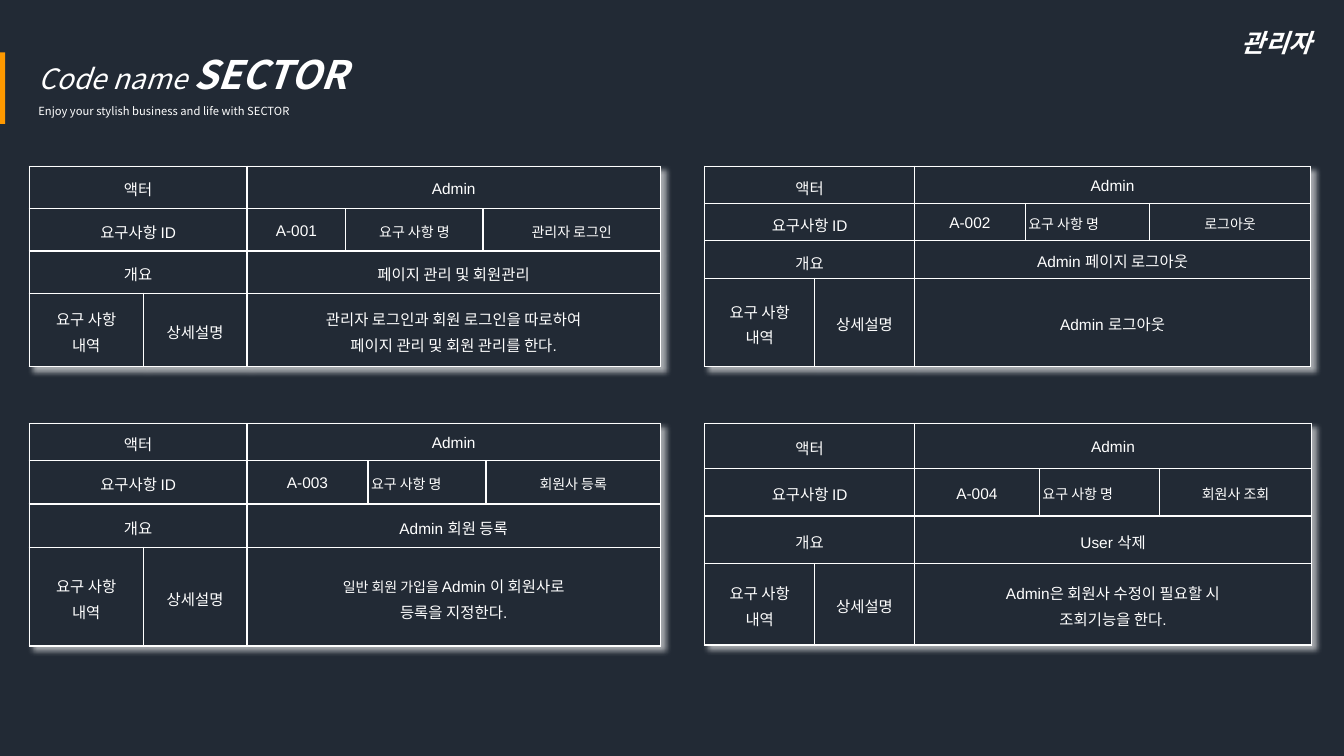
import dataclasses
import pptx
import pptx.util
import pptx.dml.color
import pptx.enum.shapes
import pptx.enum.text
from lxml import etree
from pptx.oxml.ns import qn

Inches, Pt = pptx.util.Inches, pptx.util.Pt
ALIGN = pptx.enum.text.PP_ALIGN
FIT = pptx.enum.text.MSO_AUTO_SIZE.SHAPE_TO_FIT_TEXT
ANCHOR = pptx.enum.text.MSO_ANCHOR
NAVY, WHITE, ORANGE = "222A35", "FFFFFF", "FF9900"
SANS, BODY = "Noto Sans CJK KR", "Arial"


@dataclasses.dataclass
class Card:
    """One requirement table; a bar in the detail ends its smaller text."""
    left: float
    top: float
    cols: list[float]
    rows: list[float]
    code: str
    name: str
    brief: str
    detail: str
    roomy: bool = False
    centred: bool = False


LEFT, RIGHT = 0.29, 6.99
UPPER, LOWER = 1.65, 4.2
CARDS = [
    Card(RIGHT, UPPER, [1.09, 0.99, 1.1, 1.23, 1.6], [0.37, 0.37, 0.37, 0.88],
         "A-002", "로그아웃", "Admin 페이지 로그아웃", "Admin 로그아웃", roomy=True),
    Card(LEFT, LOWER, [1.13, 1.03, 1.2, 1.17, 1.73], [0.37, 0.43, 0.43, 0.98],
         "A-003", "회원사 등록", "Admin 회원 등록",
         "일반 회원 가입을 |Admin 이 회원사로\n등록을 지정한다."),
    Card(RIGHT, LOWER, [1.09, 0.99, 1.24, 1.19, 1.51], [0.45, 0.47, 0.47, 0.81],
         "A-004", "회원사 조회", "User 삭제",
         "Admin은 회원사 수정이 필요할 시\n조회기능을 한다."),
    Card(LEFT, UPPER, [1.13, 1.03, 0.98, 1.36, 1.76], [0.42, 0.42, 0.42, 0.73],
         "A-001", "관리자 로그인", "페이지 관리 및 회원관리",
         "관리자 로그인과 회원 로그인을 따로하여\n페이지 관리 및 회원 관리를 한다.",
         roomy=True, centred=True),
]


def paint(fill, tint: str) -> None:
    fill.solid()
    fill.fore_color.rgb = pptx.dml.color.RGBColor.from_string(tint)


def style(run, size: float, face: str, bold: bool = False, slant: bool = False) -> None:
    font = run.font
    font.size, font.name, font.bold, font.italic = Pt(size), face, bold, slant
    paint(font.fill, WHITE)
    etree.SubElement(run._r.get_or_add_rPr(), qn("a:ea"), typeface=SANS)


def edge(cell) -> None:
    props = cell._tc.get_or_add_tcPr()
    for side in ("lnL", "lnR", "lnT", "lnB"):
        line = etree.SubElement(props, qn("a:" + side), w=str(Pt(1)))
        solid = etree.SubElement(line, qn("a:solidFill"))
        etree.SubElement(solid, qn("a:srgbClr"), val=WHITE)


def glow(grid) -> None:
    group = etree.Element(qn("a:effectLst"))
    shade = etree.SubElement(group, qn("a:outerShdw"), blurRad=str(Pt(4)),
                             dist=str(Pt(4)), dir="2700000", algn="tl", rotWithShape="0")
    tint = etree.SubElement(shade, qn("a:srgbClr"), val=WHITE)
    etree.SubElement(tint, qn("a:alpha"), val="60000")
    grid._tbl.tblPr.insert(0, group)


def write(cell, text: str, size: float = 11, roomy: bool = False,
          align=ALIGN.CENTER) -> None:
    inset = Inches(0.07 if roomy else 0.03)
    cell.margin_left = cell.margin_right = inset
    cell.margin_top = cell.margin_bottom = inset
    cell.text_frame.text = text
    paras = cell.text_frame.paragraphs
    for para in paras:
        para.alignment, para.line_spacing = align, 1.15
        small, bar, rest = para.text.partition("|")
        if bar:
            para.text = small
            para.add_run().text = rest
        for run in para.runs:
            style(run, size, BODY)
        if bar:
            para.runs[0].font.size = Pt(10)
    if roomy:
        paras[0].space_before = paras[-1].space_after = Pt(12)


def draw(slide, card: Card) -> None:
    frame = slide.shapes.add_table(
        len(card.rows), len(card.cols), Inches(card.left), Inches(card.top),
        Inches(sum(card.cols)), Inches(sum(card.rows)))
    grid = frame.table
    grid.first_row = grid.horz_banding = False
    for col, width in zip(grid.columns, card.cols):
        col.width = Inches(width)
    for row, height in zip(grid.rows, card.rows):
        row.height = Inches(height)
    for cell in grid.iter_cells():
        edge(cell)
        paint(cell.fill, NAVY)
        cell.vertical_anchor = ANCHOR.MIDDLE
    # Labels span two columns, values three
    for row in range(3):
        grid.cell(row, 0).merge(grid.cell(row, 1))
    for row in (0, 2, 3):
        grid.cell(row, 2).merge(grid.cell(row, 4))
    for row, label in enumerate(["액터", "요구사항 ID", "개요", "요구 사항\n내역"]):
        write(grid.cell(row, 0), label, roomy=card.roomy)
    write(grid.cell(3, 1), "상세설명", roomy=card.roomy)
    for row, text in enumerate(["Admin", card.code, card.brief, card.detail]):
        write(grid.cell(row, 2), text)
    write(grid.cell(1, 3), "요구 사항 명", 10,
          align=ALIGN.CENTER if card.centred else ALIGN.LEFT)
    write(grid.cell(1, 4), card.name, 10)
    glow(grid)


deck = pptx.Presentation()
deck.slide_width, deck.slide_height = Inches(13.33), Inches(7.5)
slide = deck.slides.add_slide(deck.slide_layouts[5])
paint(slide.background.fill, NAVY)

# Accent bar
bar = slide.shapes.add_shape(pptx.enum.shapes.MSO_SHAPE.RECTANGLE,
                             0, Inches(0.52), Inches(0.05), Inches(0.71))
bar.shadow.inherit = False
paint(bar.fill, ORANGE)
bar.line.fill.background()

# Title and tagline
title = slide.shapes.title
title.left, title.top = Inches(0.28), Inches(0.22)
title.width, title.height = Inches(6.03), Inches(1.01)
body = title.text_frame
body.text = "Code name \nEnjoy your stylish business and life with SECTOR"
body.word_wrap, body.auto_size, body.vertical_anchor = True, FIT, ANCHOR.TOP
head, tag = body.paragraphs
head.add_run().text = "SECTOR"
style(head.runs[0], 20, SANS, slant=True)
style(head.runs[1], 28, SANS, bold=True, slant=True)
style(tag.runs[0], 8, SANS)
for para in (head, tag):
    para.alignment, para.line_spacing = ALIGN.LEFT, 1.5

# Requirement tables
for card in CARDS:
    draw(slide, card)

# Role label
role = slide.shapes.add_textbox(Inches(12.22), Inches(0.22), Inches(0.96), Inches(0.4))
role.text_frame.text = "관리자"
role.text_frame.word_wrap, role.text_frame.auto_size = False, FIT
style(role.text_frame.paragraphs[0].runs[0], 18, SANS, bold=True, slant=True)

deck.save("out.pptx")
